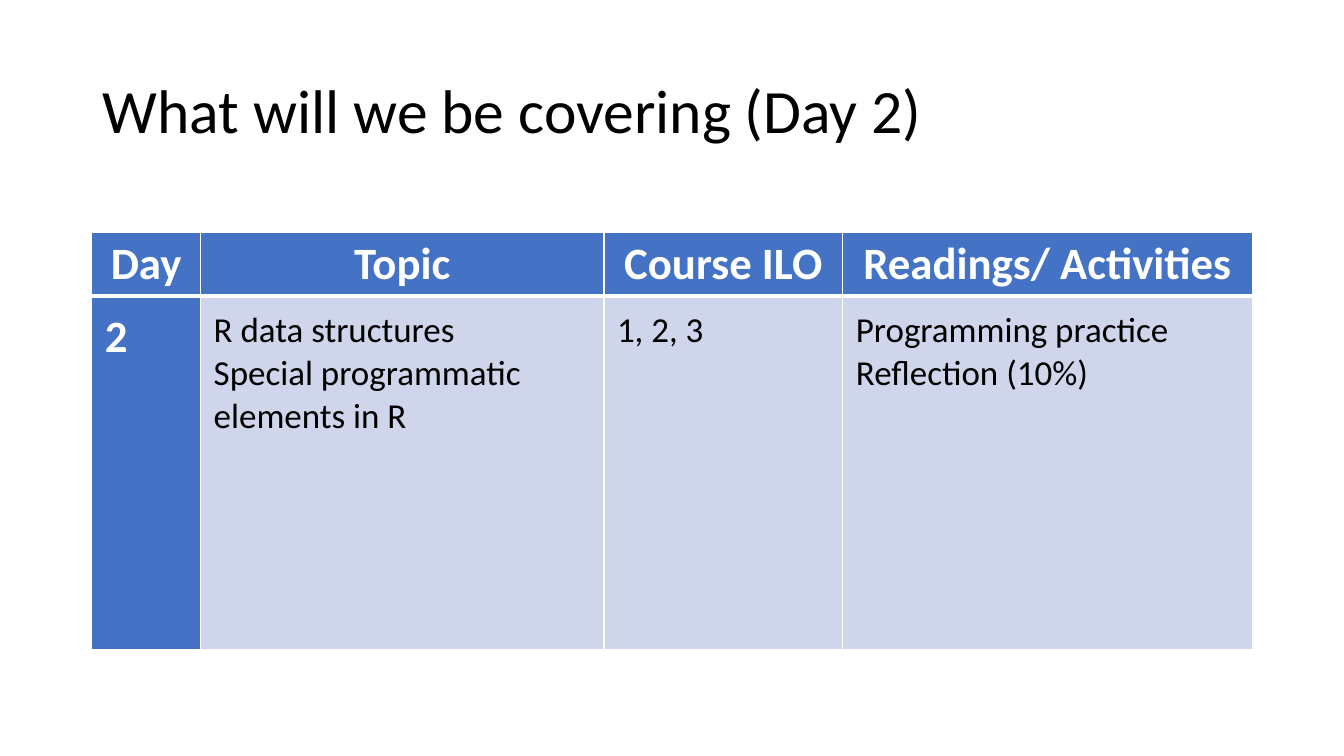
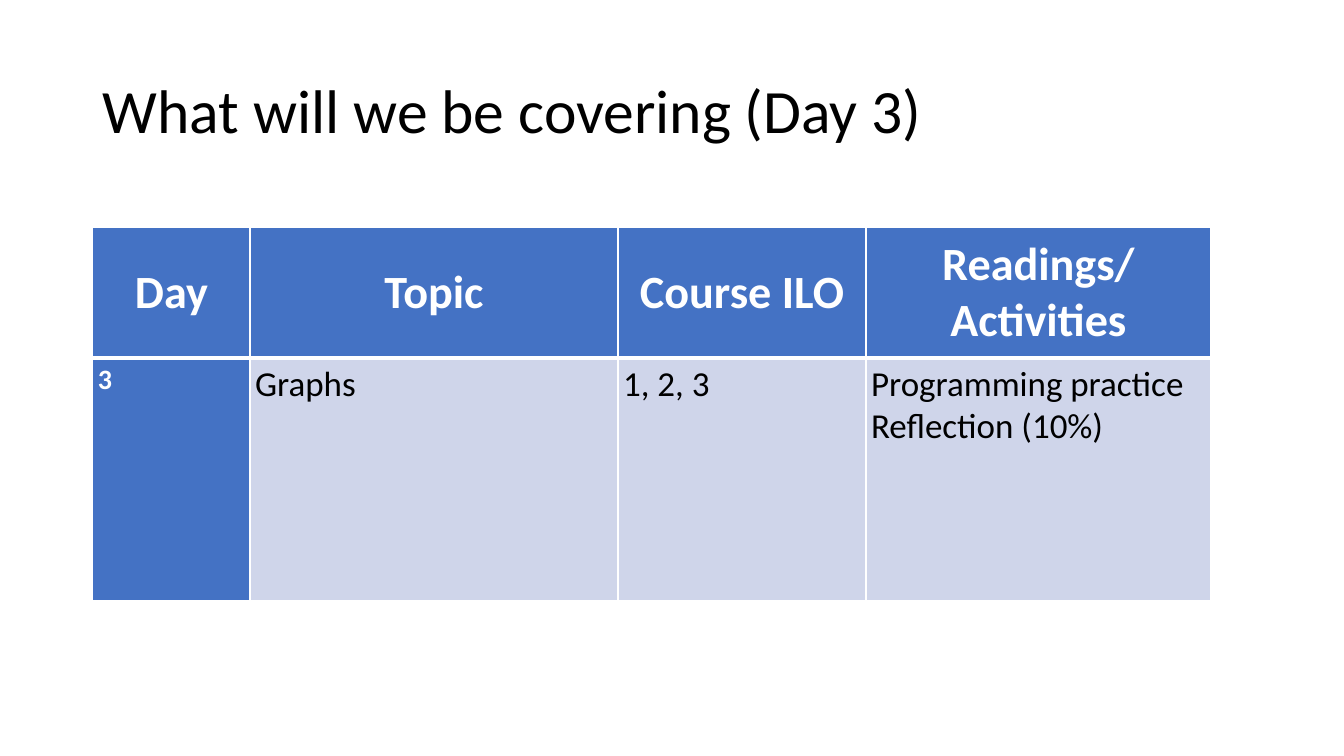
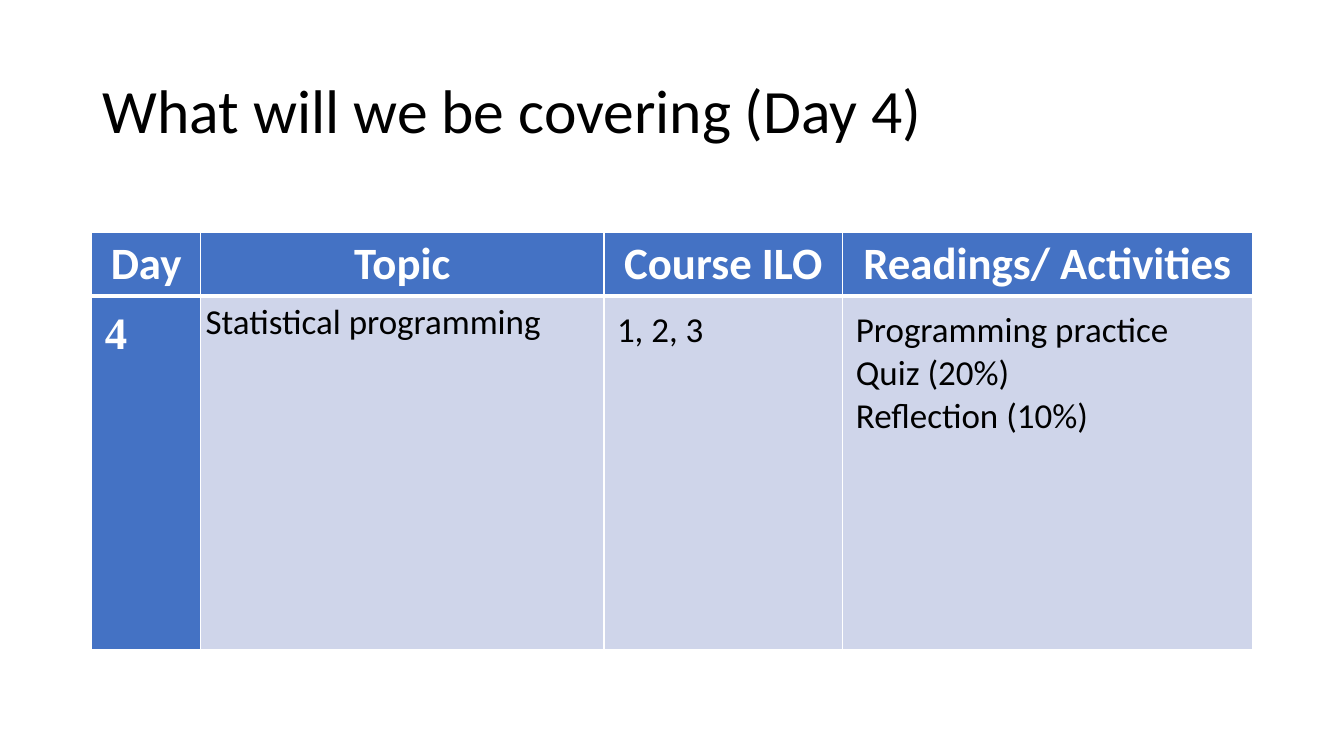
from lxml import etree
from pptx import Presentation
from pptx.dml.color import RGBColor
from pptx.enum.text import MSO_ANCHOR, PP_ALIGN
from pptx.oxml.ns import qn
from pptx.util import Inches, Pt

MIDDLE, TOP = MSO_ANCHOR.MIDDLE, MSO_ANCHOR.TOP
CENTER, LEFT = PP_ALIGN.CENTER, PP_ALIGN.LEFT
BLUE, PALE, WHITE, BLACK = "4472C4", "CFD5EA", "FFFFFF", "000000"
HEADINGS = ["Day", "Topic", "Course ILO", "Readings/ Activities"]

WIDE = {"at": (0.91, 2.31), "cols": [1.08, 4, 2.37, 4.06], "rows": [0.63, 3.5],
        "heading_size": 32, "inset": 0.13}
NARROW = {"at": (0.92, 2.26), "cols": [1.56, 3.65, 2.46, 3.42], "rows": [1.29, 2.41],
          "heading_size": 33, "inset": 0.05}

DAYS = [
    {"layout": WIDE, "day_font": {"size": Pt(32)},
     "cells": ["2", "R data structures\vSpecial programmatic elements in R", "1, 2, 3",
               "Programming practice\nReflection (10%)"]},
    {"layout": NARROW, "day_font": {"size": Pt(20)},
     "cells": ["3", "Graphs", "1, 2, 3", "Programming practice\nReflection (10%)"]},
    {"layout": WIDE, "day_font": {"size": Pt(32), "name": "Times New Roman"}, "topic_inset": 0.05,
     "cells": ["4", "Statistical programming", "1, 2, 3",
               "Programming practice\nQuiz (20%)\nReflection (10%)"]},
]


def write(tf, text, color, align=LEFT, **font):
    tf.text = text
    for p in tf.paragraphs:
        p.alignment = align
        for r in p.runs:
            for key, value in {"name": "Calibri", **font}.items():
                setattr(r.font, key, value)
            r.font.color.rgb = RGBColor.from_string(color)


def style_cell(cell, fill, anchor, inset, borders):
    cell.vertical_anchor = anchor
    for side in ("left", "top", "right", "bottom"):
        setattr(cell, f"margin_{side}", Inches(inset))
    tc_pr = cell._tc.get_or_add_tcPr()
    for side, width in borders.items():
        ln = etree.SubElement(tc_pr, qn(f"a:ln{side}"), w=str(Pt(width)))
        solid = etree.SubElement(ln, qn("a:solidFill"))
        etree.SubElement(solid, qn("a:srgbClr"), val=WHITE)
    cell.fill.solid()
    cell.fill.fore_color.rgb = RGBColor.from_string(fill)


prs = Presentation()
prs.slide_width, prs.slide_height = Inches(13.33), Inches(7.5)

for day in DAYS:
    s = prs.slides.add_slide(prs.slide_layouts[6])
    layout, cells = day["layout"], day["cells"]

    tf = s.shapes.add_textbox(Inches(0.92), Inches(0.4), Inches(11.5), Inches(1.45)).text_frame
    tf.word_wrap = True
    tf.vertical_anchor = MIDDLE
    write(tf, f"What will we be covering (Day {cells[0]})", BLACK, size=Pt(44))
    tf.paragraphs[0].line_spacing = 0.9

    left, top = layout["at"]
    cols, rows = layout["cols"], layout["rows"]
    table = s.shapes.add_table(len(rows), len(cols), Inches(left), Inches(top),
                               Inches(sum(cols)), Inches(sum(rows))).table
    for row, height in zip(table.rows, rows):
        row.height = Inches(height)

    for i, width in enumerate(cols):
        table.columns[i].width = Inches(width)

        heading = table.cell(0, i)
        style_cell(heading, BLUE, MIDDLE, 0.03, {"L": 1, "R": 1, "T": 1, "B": 3})
        write(heading.text_frame, HEADINGS[i], WHITE, CENTER,
              size=Pt(layout["heading_size"]), bold=True)

        body = table.cell(1, i)
        inset = day.get("topic_inset", layout["inset"]) if i == 1 else layout["inset"]
        style_cell(body, PALE if i else BLUE, TOP, inset, {"L": 1, "R": 1, "T": 3, "B": 1})
        if i == 0:
            write(body.text_frame, cells[i], WHITE, bold=True, **day["day_font"])
        else:
            write(body.text_frame, cells[i], BLACK, size=Pt(25), bold=False)

prs.save("out.pptx")
